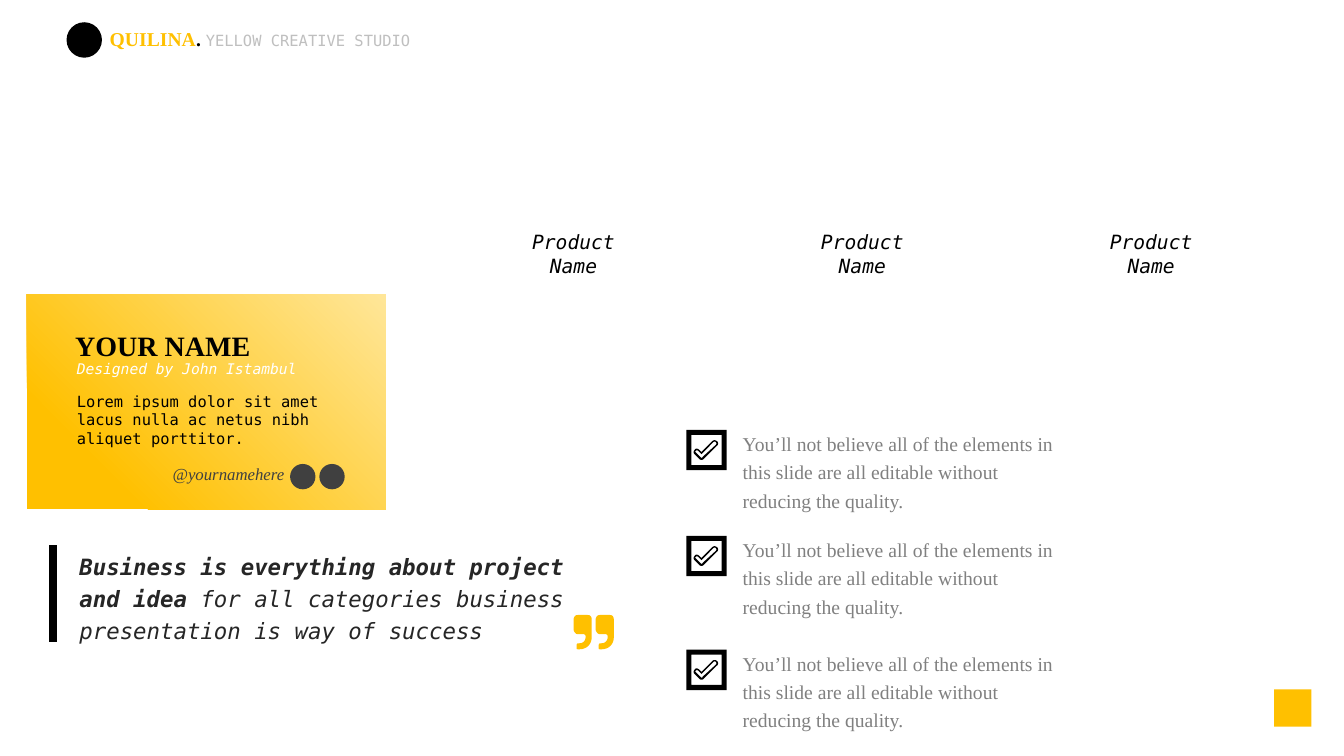
from dataclasses import dataclass

from lxml import etree
from pptx import Presentation
from pptx.dml.color import RGBColor
from pptx.enum import shapes, text
from pptx.oxml import ns
from pptx.util import Pt

SERIF, MONO = "Times New Roman", "DejaVu Sans Mono"
BLACK, WHITE, YELLOW, GRAPHITE = "000000", "FFFFFF", "FFC000", "404040"
CURVE_STEPS = 8


@dataclass
class Run:
    text: str
    size: float
    font: str
    color: str
    bold: bool = False
    italic: bool = False


@dataclass
class Box:
    left: float
    top: float
    width: float
    height: float

    def lengths(self) -> list:
        return [Pt(value) for value in (self.left, self.top, self.width, self.height)]


CHECK_OUTER = [
    (21.6, 7.9), (20.9, 7.2, 19.4, 7.2, 18.7, 7.9), (10.8, 15.8), (9.4, 14.4),
    (7.9, 13, 6.5, 13, 5.8, 14.4), (5, 15.1, 5, 16.6, 5.8, 17.3), (9.4, 20.9),
    (10.1, 21.6, 11.5, 21.6, 12.2, 20.9), (21.6, 11.5), (23, 10.8, 23, 8.6, 21.6, 7.9),
]
CHECK_INNER = [
    (20.9, 10.8), (11.5, 19.4), (11.5, 20.2, 10.8, 20.2, 10.1, 19.4), (6.5, 15.8),
    (6.5, 15.1), (7.2, 14.4, 7.9, 14.4, 8.6, 15.1), (10.8, 17.3), (19.4, 8.6),
    (20.2, 8.2, 20.5, 8.2, 20.9, 8.6), (21.6, 9.4, 21.6, 10.1, 20.9, 10.8),
]
QUOTE_MARK = [
    (13, 15.8), (13, 20.9, 9.4, 24.5, 4.3, 24.5), (2.9, 24.5),
    (2.9, 24.5, 2.2, 24.5, 2.2, 23.8), (2.2, 21.6), (2.2, 20.9, 2.9, 20.2, 2.9, 20.2),
    (4.3, 20.2), (7.2, 20.2, 8.6, 18, 8.6, 15.8), (8.6, 15.1),
    (8.6, 14.4, 7.9, 13.7, 7.2, 13.7), (2.9, 13.7), (1.4, 13.7, 0, 11.5, 0, 10.1),
    (0, 3.6), (0, 1.4, 1.4, 0, 2.9, 0), (10.1, 0), (12.2, 0, 13, 1.4, 13, 3.6),
]


def rgb(color: str) -> RGBColor:
    return RGBColor.from_string(color)


def paint(shape, color: str):
    shape.shadow.inherit = False
    shape.fill.solid()
    shape.fill.fore_color.rgb = rgb(color)
    shape.line.fill.background()
    return shape


def add_preset(slide, kind, box: Box, color: str):
    return paint(slide.shapes.add_shape(kind, *box.lengths()), color)


def write(shape, *runs: Run, align=text.PP_ALIGN.LEFT, anchor=text.MSO_ANCHOR.TOP,
          spacing: float = 1.0, grow: bool = False, inset: bool = True) -> None:
    frame = shape.text_frame
    frame.word_wrap = True
    frame.vertical_anchor = anchor
    if grow:
        frame.auto_size = text.MSO_AUTO_SIZE.SHAPE_TO_FIT_TEXT
    if not inset:
        frame.margin_left = frame.margin_top = frame.margin_right = frame.margin_bottom = 0
    paragraph = frame.paragraphs[0]
    paragraph.alignment = align
    paragraph.line_spacing = spacing
    for item in runs:
        run = paragraph.add_run()
        run.text = item.text
        run.font.size = Pt(item.size)
        run.font.name = item.font
        run.font.color.rgb = rgb(item.color)
        run.font.bold = item.bold
        run.font.italic = item.italic


def add_text(slide, box: Box, *runs: Run, **layout) -> None:
    write(slide.shapes.add_textbox(*box.lengths()), *runs, grow=True, **layout)


def flatten(contour: list, left: float, top: float) -> list:
    points = [contour[0]]
    for segment in contour[1:]:
        if len(segment) == 2:
            points.append(segment)
            continue
        start = points[-1]
        for step in range(1, CURVE_STEPS + 1):
            t = step / CURVE_STEPS
            weights = ((1 - t) ** 3, 3 * t * (1 - t) ** 2, 3 * t * t * (1 - t), t ** 3)
            points.append(tuple(
                sum(w * v for w, v in zip(weights, (start[axis], *segment[axis::2])))
                for axis in (0, 1)))
    return [(Pt(left + x), Pt(top + y)) for x, y in points]


def add_outline(slide, contours: list, color: str) -> None:
    first, *others = contours
    builder = slide.shapes.build_freeform(*first[0])
    builder.add_line_segments(first[1:], close=True)
    for contour in others:
        builder.move_to(*contour[0])
        builder.add_line_segments(contour[1:], close=True)
    paint(builder.convert_to_shape(), color)


def add_product_label(slide, left: float) -> None:
    label = add_preset(slide, shapes.MSO_SHAPE.RECTANGLE, Box(left, 167, 115.2, 28.8), WHITE)
    solid_color = label.fill._xPr.find(ns.qn("a:solidFill"))[0]
    etree.SubElement(solid_color, ns.qn("a:alpha"), val="80000")
    write(label, Run("Product Name", 14, MONO, BLACK, italic=True),
          align=text.PP_ALIGN.CENTER, anchor=text.MSO_ANCHOR.MIDDLE)


def add_checked_item(slide, top: float) -> None:
    add_text(slide, Box(523.4, top, 241.2, 68.4),
             Run("You’ll not believe all of the elements in this slide are all editable "
                 "without reducing the quality.", 14, SERIF, "808080"), spacing=1.2)
    left, frame_top = 490.3, top + 5.3
    add_preset(slide, shapes.MSO_SHAPE.FRAME, Box(left, frame_top, 28.8, 28.8), BLACK)
    add_outline(slide, [flatten(contour, left, frame_top)
                        for contour in (CHECK_OUTER, CHECK_INNER)], BLACK)


def add_quote(slide) -> None:
    add_text(slide, Box(49.7, 387.4, 393.8, 77),
             Run("Business is everything about project and idea ", 16, MONO, "262626", True, True),
             Run("for all categories business presentation is way of success",
                 16, MONO, "262626", italic=True), spacing=1.2)
    bar = slide.shapes.add_connector(shapes.MSO_CONNECTOR.STRAIGHT,
                                     Pt(37.8), Pt(389.5), Pt(37.8), Pt(458.6))
    bar.line.color.rgb = rgb(BLACK)
    bar.line.width = Pt(6)
    etree.SubElement(bar.line._ln.getparent(), ns.qn("a:effectLst"))
    add_outline(slide, [flatten(QUOTE_MARK, 409.7 + shift, 439.3) for shift in (0, 15.8)], YELLOW)


def add_business_card(slide) -> None:
    card = add_preset(slide, shapes.MSO_SHAPE.RECTANGLE, Box(19.2, 210.3, 256.5, 153.4), YELLOW)
    card.fill.gradient()
    card.fill.gradient_angle = 45
    for stop, (position, color) in zip(card.fill.gradient_stops, ((0.2, YELLOW), (1, "FFE699"))):
        stop.position = position
        stop.color.rgb = rgb(color)
    add_text(slide, Box(47.8, 276.5, 194.4, 47.5),
             Run("Lorem ipsum dolor sit amet lacus nulla ac netus nibh aliquet porttitor.",
                 11, MONO, BLACK))
    add_text(slide, Box(53.6, 234.7, 183.6, 24.5), Run("YOUR NAME", 20, SERIF, BLACK, True),
             anchor=text.MSO_ANCHOR.MIDDLE, inset=False)
    add_text(slide, Box(47.8, 247, 194.4, 26.6),
             Run("Designed by John Istambul", 10.5, MONO, WHITE, italic=True), spacing=1.5)
    for left in (207.2, 228.1):
        add_preset(slide, shapes.MSO_SHAPE.OVAL, Box(left, 331.4, 18.1, 18.1), GRAPHITE)
    add_text(slide, Box(99.4, 327.6, 110.9, 21.6),
             Run("@yournamehere", 12, SERIF, GRAPHITE, italic=True), align=text.PP_ALIGN.RIGHT)


def add_header(slide) -> None:
    add_text(slide, Box(71.3, 15.8, 257.8, 24.5), Run("QUILINA", 14, SERIF, YELLOW, True),
             Run(". ", 14, SERIF, BLACK, True),
             Run("YELLOW CREATIVE STUDIO", 11, MONO, "BFBFBF"))
    add_preset(slide, shapes.MSO_SHAPE.OVAL, Box(47.5, 15.9, 25.3, 25.3), BLACK)


def main() -> None:
    presentation = Presentation()
    presentation.slide_width, presentation.slide_height = Pt(960), Pt(540)
    slide = presentation.slides.add_slide(presentation.slide_layouts[6])
    for column in range(3):
        add_product_label(slide, 352.1 + 206.3 * column)
    for top in (301.8, 377.5, 458.8):
        add_checked_item(slide, top)
    add_quote(slide)
    add_business_card(slide)
    add_preset(slide, shapes.MSO_SHAPE.RECTANGLE, Box(910.1, 492.5, 26.6, 26.6), YELLOW)
    add_header(slide)
    presentation.save("out.pptx")


if __name__ == "__main__":
    main()
